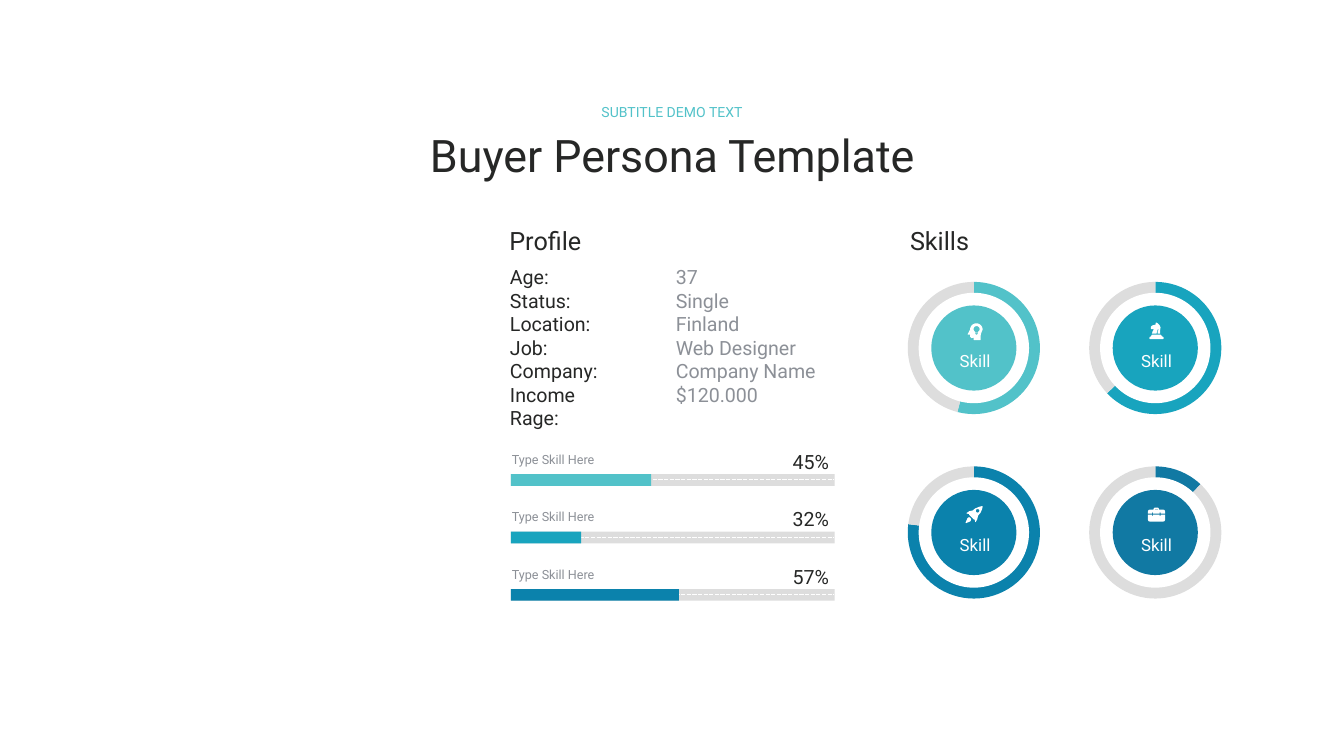
from math import cos, radians, sin

from lxml.etree import SubElement
from pptx import Presentation
from pptx.chart.data import CategoryChartData
from pptx.dml.color import RGBColor
from pptx.enum.chart import XL_CHART_TYPE
from pptx.enum.dml import MSO_LINE
from pptx.enum.shapes import MSO_CONNECTOR, MSO_SHAPE
from pptx.enum.text import MSO_ANCHOR, MSO_AUTO_SIZE, PP_ALIGN
from pptx.oxml import parse_xml
from pptx.oxml.ns import qn
from pptx.util import Inches, Pt

INK = RGBColor(0x26, 0x27, 0x26)
GRAY = RGBColor(0x8C, 0x90, 0x97)
TRACK = RGBColor(0xDD, 0xDD, 0xDD)
WHITE = RGBColor(0xFF, 0xFF, 0xFF)
AQUA = RGBColor(0x52, 0xC2, 0xC9)
TEAL = RGBColor(0x18, 0xA4, 0xBE)
BLUE = RGBColor(0x0B, 0x82, 0xAC)
NAVY = RGBColor(0x11, 0x79, 0xA3)

PIE_LAYOUT = (
    '<c:layout xmlns:c="http://schemas.openxmlformats.org/drawingml/2006/chart">'
    '<c:manualLayout><c:layoutTarget val="inner"/>'
    '<c:xMode val="edge"/><c:yMode val="edge"/>'
    '<c:x val="0.005"/><c:y val="0.005"/><c:w val="0.99"/><c:h val="0.99"/>'
    '</c:manualLayout></c:layout>'
)


def arc(x, y, radius, start, end):
    return [(x + radius * cos(radians(angle)), y + radius * sin(radians(angle)))
            for angle in range(start, end + 1, 15)]


HEAD = [
    arc(17.5, 13, 12.5, 180, 360)
    + [(27, 20), (26, 25), (26, 33), (25, 34), (13, 34), (12, 33), (12, 29), (8, 30),
       (5, 27), (5, 23), (1, 23), (0, 22), (1, 21), (4, 15)],
    arc(18, 12, 6, 120, 420) + [(21, 19), (15, 19)],
    [(15, 20), (21, 20), (21, 21), (19, 23), (17, 23), (15, 21)],
]
KNIGHT = [
    [(13, 0), (12, 1), (12, 4), (5, 6), (3, 8), (3, 13), (9, 13), (6, 18), (5, 22),
     (14, 22), (15, 18), (17, 12), (18, 14), (16, 20), (16, 22), (21, 22), (21, 16),
     (22, 10), (20, 5), (17, 2), (14, 0)],
    [(5, 24), (3, 27), (3, 28), (1, 28), (0, 30), (0, 32), (1, 33), (27, 33), (28, 32),
     (28, 30), (27, 28), (25, 28), (25, 27), (22, 24)],
]
ROCKET = [
    [(33, 0), (26, 2), (19, 5), (14, 9), (8, 10), (2, 14), (2, 15), (8, 16), (7, 17),
     (16, 26), (17, 27), (18, 26), (19, 31), (20, 32), (23, 27), (25, 19), (30, 13),
     (33, 6), (34, 1)],
    arc(24, 9.5, 3.5, 0, 360),
    [(7, 22), (10, 24), (11, 27), (10, 30), (6, 32), (1, 34), (0, 33), (4, 24)],
]
BRIEFCASE = [
    [(14, 0), (12, 1), (11, 4), (4, 4), (1, 5), (0, 8), (0, 12), (8, 12), (8, 10),
     (9, 9), (10, 10), (10, 12), (23, 12), (23, 10), (24, 9), (25, 10), (25, 12),
     (34, 12), (34, 8), (33, 5), (30, 4), (22, 4), (21, 1), (20, 0)],
    [(14, 3), (20, 3), (20, 4), (14, 4)],
    [(0, 14), (0, 24), (1, 27), (4, 28), (30, 28), (33, 27), (34, 24), (34, 14),
     (25, 14), (25, 16), (24, 17), (23, 16), (23, 14), (10, 14), (10, 16), (9, 17),
     (8, 16), (8, 14)],
]


def write_text(frame, text, *, size, color=INK, align=PP_ALIGN.LEFT, font="Roboto",
               fit=MSO_AUTO_SIZE.SHAPE_TO_FIT_TEXT):
    frame.word_wrap = True
    frame.auto_size = fit
    frame.vertical_anchor = MSO_ANCHOR.TOP
    frame.margin_left = frame.margin_right = Inches(0.1)
    frame.margin_top = frame.margin_bottom = Inches(0.1)
    frame.text = text
    for paragraph in frame.paragraphs:
        paragraph.alignment = align
        for run in paragraph.runs:
            run.font.name = font
            run.font.size = Pt(size)
            run.font.color.rgb = color


class PersonaSlide:
    def __init__(self, slide):
        self.slide = slide
        self.shapes = slide.shapes

    def placeholder(self, index, box, text, **style):
        holder = self.slide.placeholders[index]
        holder.left, holder.top, holder.width, holder.height = map(Inches, box)
        write_text(holder.text_frame, text, fit=MSO_AUTO_SIZE.NONE, **style)
        return holder

    def plain_list(self, index, box, text, **style):
        holder = self.placeholder(index, box, text, **style)
        for paragraph in holder.text_frame.paragraphs:
            paragraph.space_before = Pt(0)
            properties = paragraph._p.get_or_add_pPr()
            properties.set("marL", "0")
            properties.set("indent", "0")
            SubElement(properties, qn("a:buNone"))

    def label(self, box, text, **style):
        write_text(self.shapes.add_textbox(*map(Inches, box)).text_frame, text, **style)

    def paint(self, shape, color):
        shape.shadow.inherit = False
        shape.fill.solid()
        shape.fill.fore_color.rgb = color
        shape.line.fill.background()

    def block(self, kind, box, color):
        self.paint(self.shapes.add_shape(kind, *map(Inches, box)), color)

    def dashes(self, left, right, y):
        line = self.shapes.add_connector(
            MSO_CONNECTOR.STRAIGHT, Inches(left), Inches(y), Inches(right), Inches(y))
        line.line.color.rgb = WHITE
        line.line.width = Pt(2)
        line.line.dash_style = MSO_LINE.SQUARE_DOT
        SubElement(line._element.spPr, qn("a:effectLst"))

    def icon(self, left, top, contours):
        outlines = [[(Inches(left + x / 100), Inches(top + y / 100)) for x, y in contour]
                    for contour in contours]
        builder = self.shapes.build_freeform(*outlines[0][0])
        builder.add_line_segments(outlines[0][1:])
        for outline in outlines[1:]:
            builder.move_to(*outline[0])
            builder.add_line_segments(outline[1:])
        self.paint(builder.convert_to_shape(), WHITE)

    def pie(self, box, share, color):
        data = CategoryChartData()
        data.categories = ["1", "2"]
        data.add_series("Series 1", (share, 100 - share))
        chart = self.shapes.add_chart(XL_CHART_TYPE.PIE, *map(Inches, box), data).chart
        chart.has_legend = False
        chart.has_title = False
        chart.font.name = "Calibri"
        chart.font.size = Pt(10)
        chart.font.color.rgb = INK
        plot = chart.plots[0]
        plot.vary_by_categories = False
        for index, fill in enumerate((color, TRACK)):
            slice_format = plot.series[0].points[index].format
            slice_format.fill.solid()
            slice_format.fill.fore_color.rgb = fill
            slice_format.line.fill.background()
        plot_area = chart._chartSpace.chart.plotArea
        for layout in plot_area.findall(qn("c:layout")):
            plot_area.remove(layout)
        plot_area.insert(0, parse_xml(PIE_LAYOUT))

    def skill_bar(self, top, percent, filled, color):
        self.label((10.06, top, 2.6, 0.5), "Type Skill Here", size=18, color=GRAY)
        self.block(MSO_SHAPE.RECTANGLE, (10.14, top + 0.55, 6.42, 0.23), TRACK)
        self.dashes(10.16, 16.54, top + 0.66)
        self.block(MSO_SHAPE.RECTANGLE, (10.14, top + 0.55, filled, 0.23), color)
        self.label((13.95, top - 0.04, 2.6, 0.67), percent, size=28, align=PP_ALIGN.RIGHT)

    def skill_ring(self, left, top, share, color, contours, icon_x, icon_y):
        self.pie((left, top, 2.65, 2.65), share, color)
        for inset, diameter, fill in ((0.23, 2.19, WHITE), (0.48, 1.69, color)):
            self.block(MSO_SHAPE.OVAL, (left + inset, top + inset, diameter, diameter), fill)
        self.label((left + 0.6, top + 1.27, 1.5, 0.61), "Skill", size=24, color=WHITE,
                   align=PP_ALIGN.CENTER)
        self.icon(left + icon_x, top + icon_y, contours)


def main():
    deck = Presentation()
    deck.slide_width, deck.slide_height = Inches(26.67), Inches(15)
    persona = PersonaSlide(deck.slides.add_slide(deck.slide_layouts[3]))

    persona.placeholder(0, (8.25, 2.43, 10.18, 1.28), "Buyer Persona Template", size=64,
                        align=PP_ALIGN.CENTER)
    persona.label((9.59, 1.96, 7.49, 0.54), "SUBTITLE DEMO TEXT", size=20, color=AQUA,
                  align=PP_ALIGN.CENTER)
    for left, heading in ((10.01, "Profile"), (17.96, "Skills")):
        persona.label((left, 4.37, 3.13, 0.81), heading, size=36)
    persona.plain_list(1, (10.02, 5.16, 2.45, 3.03),
                       "Age:\nStatus:\nLocation:\nJob:\nCompany:\nIncome Rage:", size=28)
    persona.plain_list(2, (13.31, 5.16, 3.13, 3.03),
                       "37\nSingle\nFinland\nWeb Designer\nCompany Name\n$120.000",
                       size=28, color=GRAY)

    bars = (("45%", 2.78, AQUA), ("32%", 1.39, TEAL), ("57%", 3.33, BLUE))
    for row, bar in enumerate(bars):
        persona.skill_bar(8.86 + 1.14 * row, *bar)

    rings = ((54, AQUA, HEAD, 1.2, 0.83), (63, TEAL, KNIGHT, 1.21, 0.82),
             (77, BLUE, ROCKET, 1.16, 0.8), (12, NAVY, BRIEFCASE, 1.18, 0.83))
    for index, ring in enumerate(rings):
        row, column = divmod(index, 2)
        persona.skill_ring(18 + 3.6 * column, 5.58 + 3.66 * row, *ring)

    deck.save("out.pptx")


if __name__ == "__main__":
    main()
